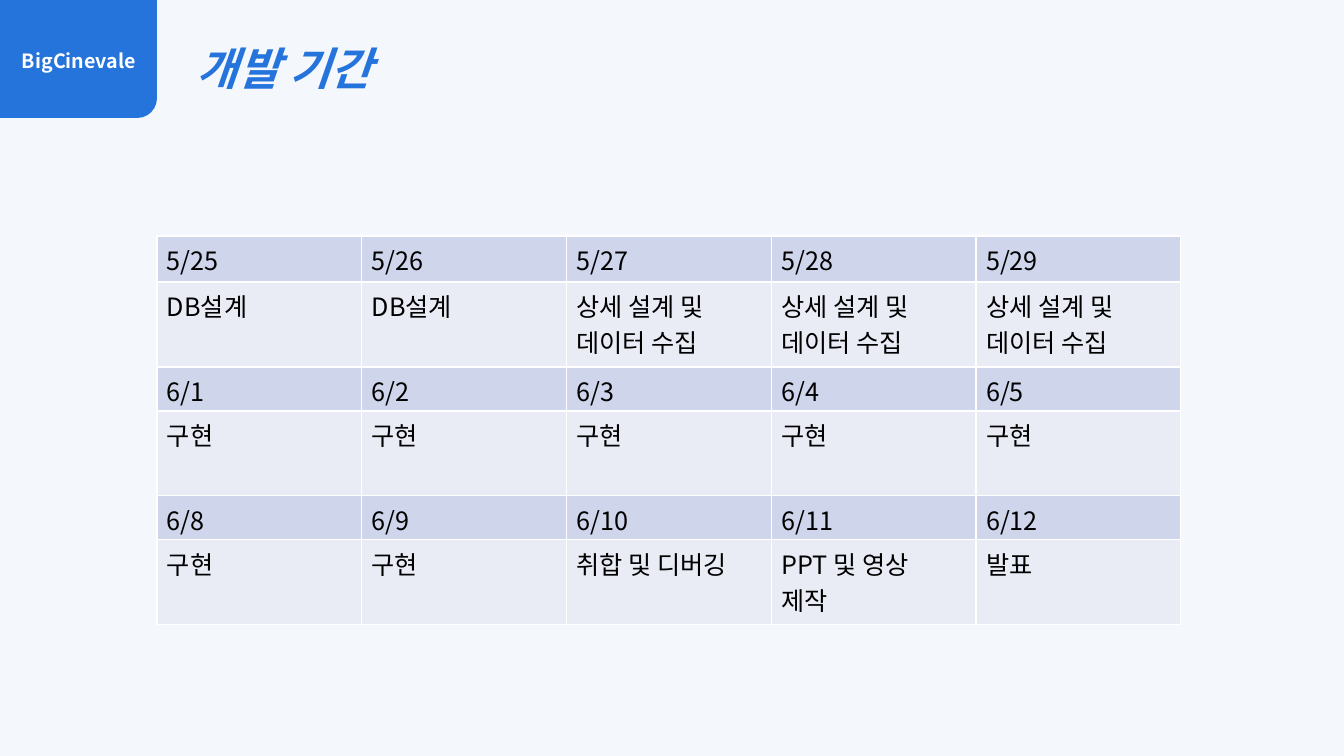
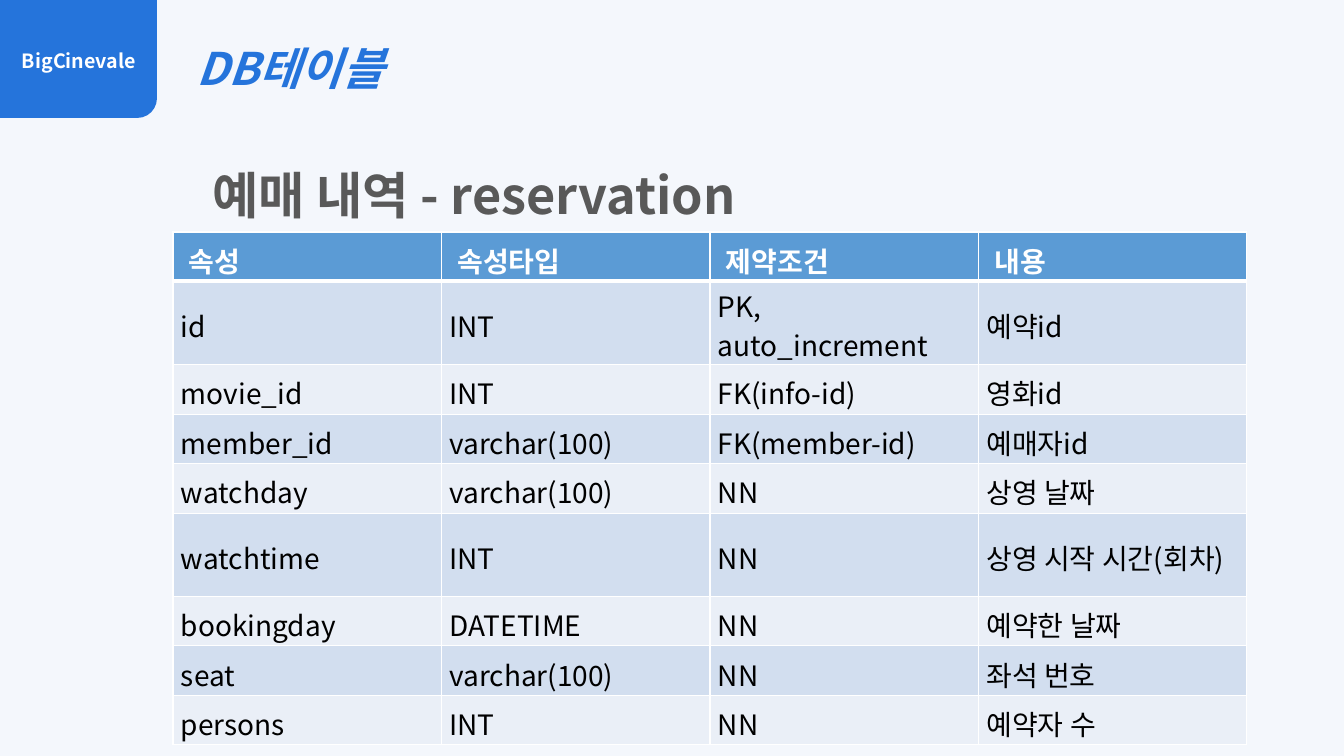
from pptx import Presentation
from pptx.dml.color import RGBColor
from pptx.enum.shapes import MSO_SHAPE as Shape
from pptx.enum.text import MSO_ANCHOR as Anchor, MSO_AUTO_SIZE as AutoSize, PP_ALIGN as Align
from pptx.oxml.ns import qn
from pptx.util import Pt
from lxml.etree import SubElement

# Content
BRAND = "BigCinevale"
DESIGN = "상세 설계 및\n데이터 수집"
SCHEDULE = [
    ("5/25", "5/26", "5/27", "5/28", "5/29"),
    ("DB설계", "DB설계", DESIGN, DESIGN, DESIGN),
    ("6/1", "6/2", "6/3", "6/4", "6/5"),
    ("구현",) * 5,
    ("6/8", "6/9", "6/10", "6/11", "6/12"),
    ("구현", "구현", "취합 및 디버깅", "PPT 및 영상\n제작", "발표"),
]
RESERVATION = [
    ("속성", "속성타입", "제약조건", "내용"),
    ("id", "INT", "PK, auto_increment", "예약id"),
    ("movie_id", "INT", "FK(info-id)", "영화id"),
    ("member_id", "varchar(100)", "FK(member-id)", "예매자id"),
    ("watchday", "varchar(100)", "NN", "상영 날짜"),
    ("watchtime", "INT", "NN", "상영 시작 시간(회차)"),
    ("bookingday", "DATETIME", "NN", "예약한 날짜"),
    ("seat", "varchar(100)", "NN", "좌석 번호"),
    ("persons", "INT", "NN", "예약자 수"),
]

# Shared look
FONT = "Noto Sans CJK KR"
BLUE, WHITE, BLACK, GREY = "2574DB", "FFFFFF", "000000", "595959"
BACKGROUND = "F4F7FC"
DATE_FILL, TASK_FILL = "CFD5EA", "E9EBF5"
HEADER_FILL, ODD_FILL, EVEN_FILL = "5B9BD5", "D2DEEF", "EAEFF7"


def px(length):
    return round(length * 914400 / 100.8)


def rgb(value):
    return RGBColor.from_string(value)


def style_text(frame, size, color, bold=False, italic=False, align=Align.LEFT, spacing=1.0):
    for paragraph in frame.paragraphs:
        paragraph.alignment = align
        paragraph.line_spacing = spacing
        for run in paragraph.runs:
            font = run.font
            font.name, font.size, font.bold, font.italic = FONT, Pt(size), bold, italic
            font.color.rgb = rgb(color)
            SubElement(font._element, qn("a:ea")).set("typeface", FONT)


def set_insets(target, left=10, top=5, right=10, bottom=5):
    target.margin_left, target.margin_top = px(left), px(top)
    target.margin_right, target.margin_bottom = px(right), px(bottom)


def fill_frame(box, text, anchor, wrap, **look):
    frame = box.text_frame
    frame.text = text
    frame.word_wrap = wrap
    frame.auto_size = AutoSize.NONE
    frame.vertical_anchor = anchor
    set_insets(frame)
    style_text(frame, **look)


def add_label(slide, text, at, anchor=Anchor.TOP, wrap=True, **look):
    box = slide.shapes.add_textbox(*map(px, at))
    fill_frame(box, text, anchor, wrap, **look)


def add_slide(prs, heading):
    slide = prs.slides.add_slide(prs.slide_layouts[5])
    # Brand badge with its lower right corner rounded
    badge = slide.shapes.add_shape(Shape.ROUND_1_RECTANGLE, 0, 0, px(157), px(118))
    badge.shadow.inherit = False
    badge.fill.solid()
    badge.fill.fore_color.rgb = rgb(BLUE)
    badge.line.fill.background()
    badge._element.spPr.find(qn("a:xfrm")).set("flipV", "1")
    add_label(slide, BRAND, (12, 44, 139, 38), wrap=False, size=14, color=WHITE, bold=True)
    # Title
    title = slide.shapes.title
    title.left, title.top, title.width, title.height = map(px, (187, 9, 672, 90))
    fill_frame(title, heading, Anchor.BOTTOM, True, size=32, color=BLUE, bold=True, italic=True)
    return slide


def set_borders(cell, **widths):
    props = cell._tc.get_or_add_tcPr()
    for side in "LRTB":
        line = SubElement(props, qn("a:ln" + side), w=str(Pt(widths.get(side, 1))))
        fill = SubElement(line, qn("a:solidFill"))
        SubElement(fill, qn("a:srgbClr"), val=WHITE)


def add_grid(slide, rows, left, top, width, heights, style_cell):
    size = (px(left), px(top), px(width), px(sum(heights)))
    table = slide.shapes.add_table(len(rows), len(rows[0]), *size).table
    table.first_row = table.horz_banding = False
    for column in table.columns:
        column.width = px(width / len(rows[0]))
    for r, (texts, height) in enumerate(zip(rows, heights)):
        table.rows[r].height = px(height)
        for c, text in enumerate(texts):
            cell = table.cell(r, c)
            cell.text_frame.text = text
            # Borders go in first: the fill must follow them
            color = style_cell(cell, r, height)
            cell.fill.solid()
            cell.fill.fore_color.rgb = rgb(color)


def style_schedule(cell, r, height):
    set_insets(cell, bottom=0)
    set_borders(cell)
    style_text(cell.text_frame, 18, BLACK)
    return TASK_FILL if r % 2 else DATE_FILL


def style_reservation(cell, r, height):
    header, tall = r == 0, height > 50
    cell.vertical_anchor = Anchor.MIDDLE
    set_insets(cell, left=16 if header else 8, top=6 if tall else 7, right=1, bottom=0)
    set_borders(cell, T=3 if r == 1 else 1, B=3 if header else 1)
    style_text(cell.text_frame, 20, WHITE if header else BLACK, bold=header,
               spacing=0.95 if tall else 1.0)
    if header:
        return HEADER_FILL
    return ODD_FILL if r % 2 else EVEN_FILL


def main():
    prs = Presentation()
    prs.slide_width, prs.slide_height = px(1344), px(756)
    backdrop = prs.slide_master.background.fill
    backdrop.solid()
    backdrop.fore_color.rgb = rgb(BACKGROUND)

    # Development period
    period = add_slide(prs, "개발 기간")
    add_grid(period, SCHEDULE, 157, 236, 1024, (46, 85, 44, 85, 44, 85), style_schedule)

    # Database table
    database = add_slide(prs, "DB테이블")
    heights = (49, 83, 50, 49, 50, 83, 49, 50, 49)
    add_grid(database, RESERVATION, 173, 232, 1074, heights, style_reservation)
    add_label(database, "예매 내역 - reservation", (173, 130, 602, 100), Anchor.BOTTOM,
              size=36, color=GREY, bold=True, align=Align.CENTER)

    prs.save("out.pptx")


if __name__ == "__main__":
    main()
